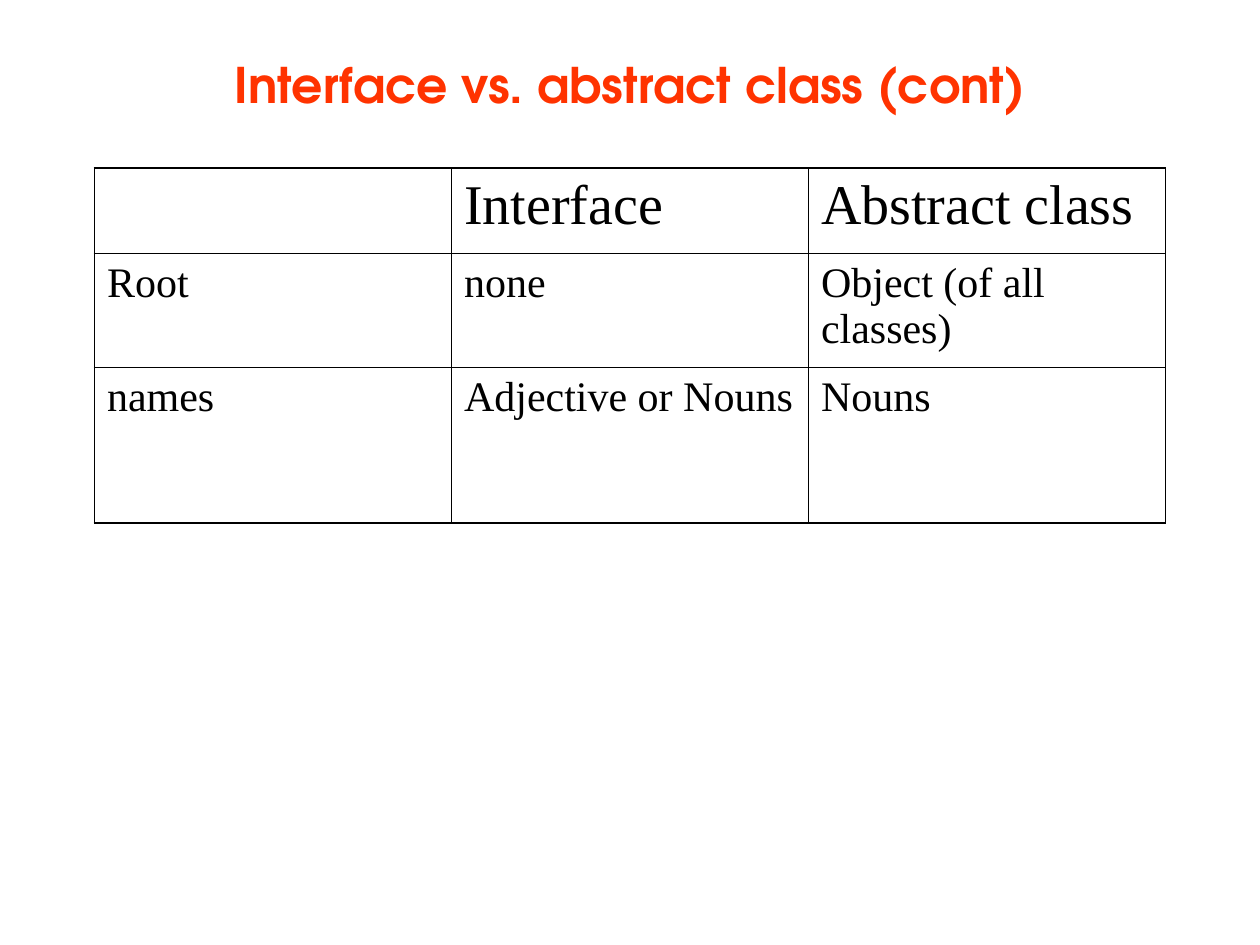
from lxml.etree import SubElement
from pptx import Presentation
from pptx.dml.color import RGBColor
from pptx.enum.text import MSO_ANCHOR as Anchor, PP_ALIGN as Align
from pptx.oxml.ns import qn
from pptx.util import Pt

BLACK = RGBColor(0, 0, 0)
ORANGE_RED = RGBColor(0xFF, 0x33, 0x00)

TITLE = "Interface vs. abstract class (cont)"
ROWS = [
    ("", "Interface", "Abstract class"),
    ("Root", "none", "Object (of all classes)"),
    ("names", "Adjective or Nouns", "Nouns"),
]
ROW_HEIGHTS = [49, 65, 89]
LEFT, WIDTH = 54, 612
TITLE_TOP, TITLE_HEIGHT = 6, 84
TABLE_TOP = 96
OUTER_LINE, INNER_LINE = Pt(1.08), Pt(0.45)

TITLE_FONT = {"name": "TeX Gyre Adventor", "size": Pt(28), "bold": True}
HEADER_FONT = {"name": "Times New Roman", "size": Pt(32)}
BODY_FONT = {"name": "Times New Roman", "size": Pt(24)}


def write(paragraph, text, font_format, color):
    run = paragraph.add_run()
    run.text = text
    for name, value in font_format.items():
        setattr(run.font, name, value)
    run.font.color.rgb = color


def add_borders(cell, outer_edges):
    properties = cell._tc.get_or_add_tcPr()
    for edge, is_outer in outer_edges.items():
        width = OUTER_LINE if is_outer else INNER_LINE
        line = SubElement(properties, qn(f"a:ln{edge}"), w=str(int(width)))
        fill = SubElement(line, qn("a:solidFill"))
        SubElement(fill, qn("a:srgbClr"), val=str(BLACK))


def add_title(slide):
    box = slide.shapes.add_textbox(Pt(LEFT), Pt(TITLE_TOP), Pt(WIDTH), Pt(TITLE_HEIGHT))
    frame = box.text_frame
    frame.word_wrap = True
    frame.vertical_anchor = Anchor.MIDDLE
    paragraph = frame.paragraphs[0]
    paragraph.alignment = Align.CENTER
    write(paragraph, TITLE, TITLE_FONT, ORANGE_RED)


def add_comparison_table(slide):
    row_count, column_count = len(ROWS), len(ROWS[0])
    table = slide.shapes.add_table(
        row_count, column_count, Pt(LEFT), Pt(TABLE_TOP), Pt(WIDTH), Pt(sum(ROW_HEIGHTS))
    ).table
    table.first_row = False
    table.horz_banding = False
    for column in table.columns:
        column.width = Pt(WIDTH / column_count)
    for i, (texts, height) in enumerate(zip(ROWS, ROW_HEIGHTS)):
        table.rows[i].height = Pt(height)
        for j, text in enumerate(texts):
            cell = table.cell(i, j)
            add_borders(cell, {
                "L": j == 0,
                "R": j == column_count - 1,
                "T": i == 0,
                "B": i == row_count - 1,
            })
            cell.fill.background()
            if text:
                paragraph = cell.text_frame.paragraphs[0]
                paragraph.space_before = Pt(6 if i else 8)
                write(paragraph, text, BODY_FONT if i else HEADER_FONT, BLACK)


def main():
    presentation = Presentation()
    presentation.slide_width, presentation.slide_height = Pt(720), Pt(540)
    slide = presentation.slides.add_slide(presentation.slide_layouts[6])
    add_title(slide)
    add_comparison_table(slide)
    presentation.save("out.pptx")


if __name__ == "__main__":
    main()
